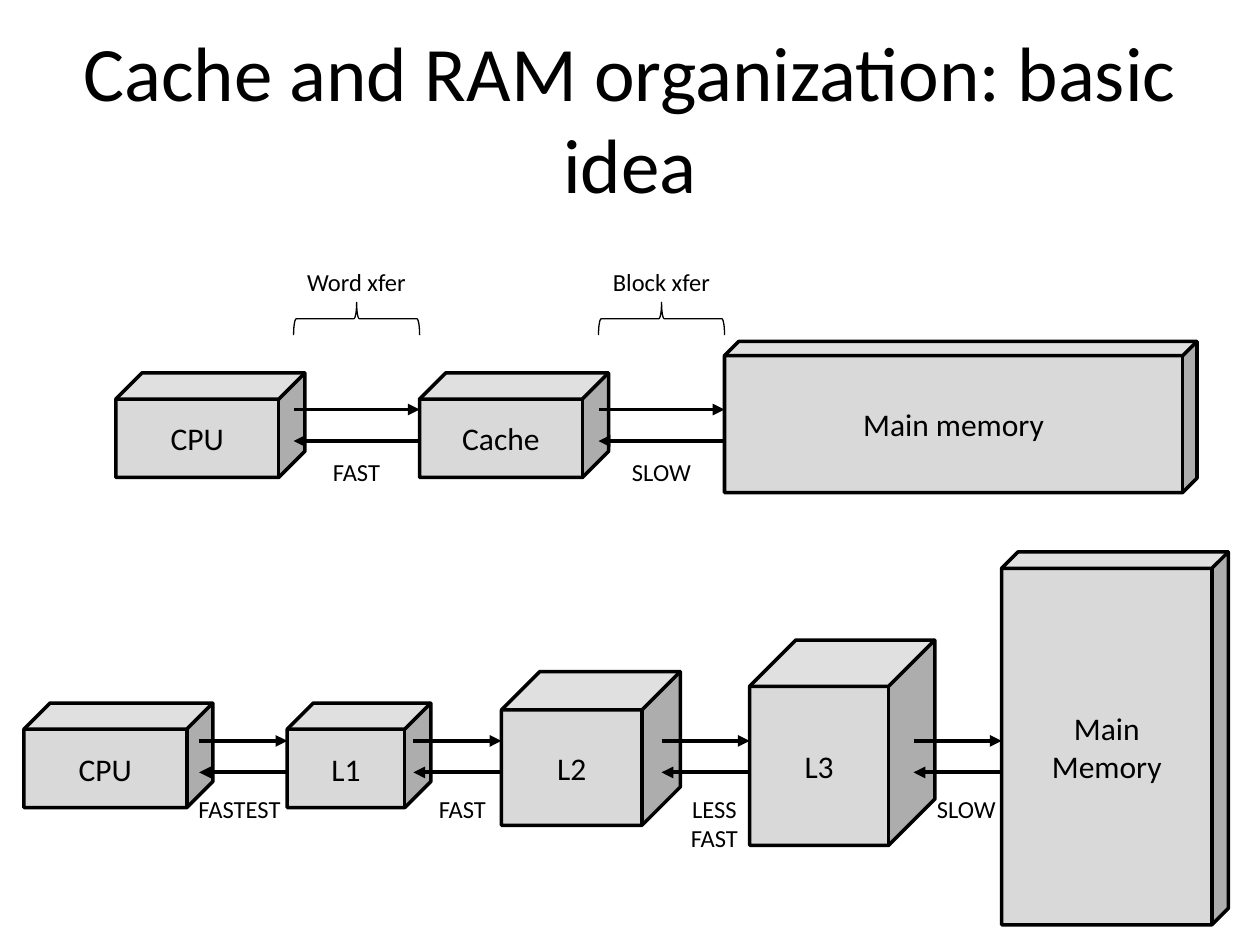
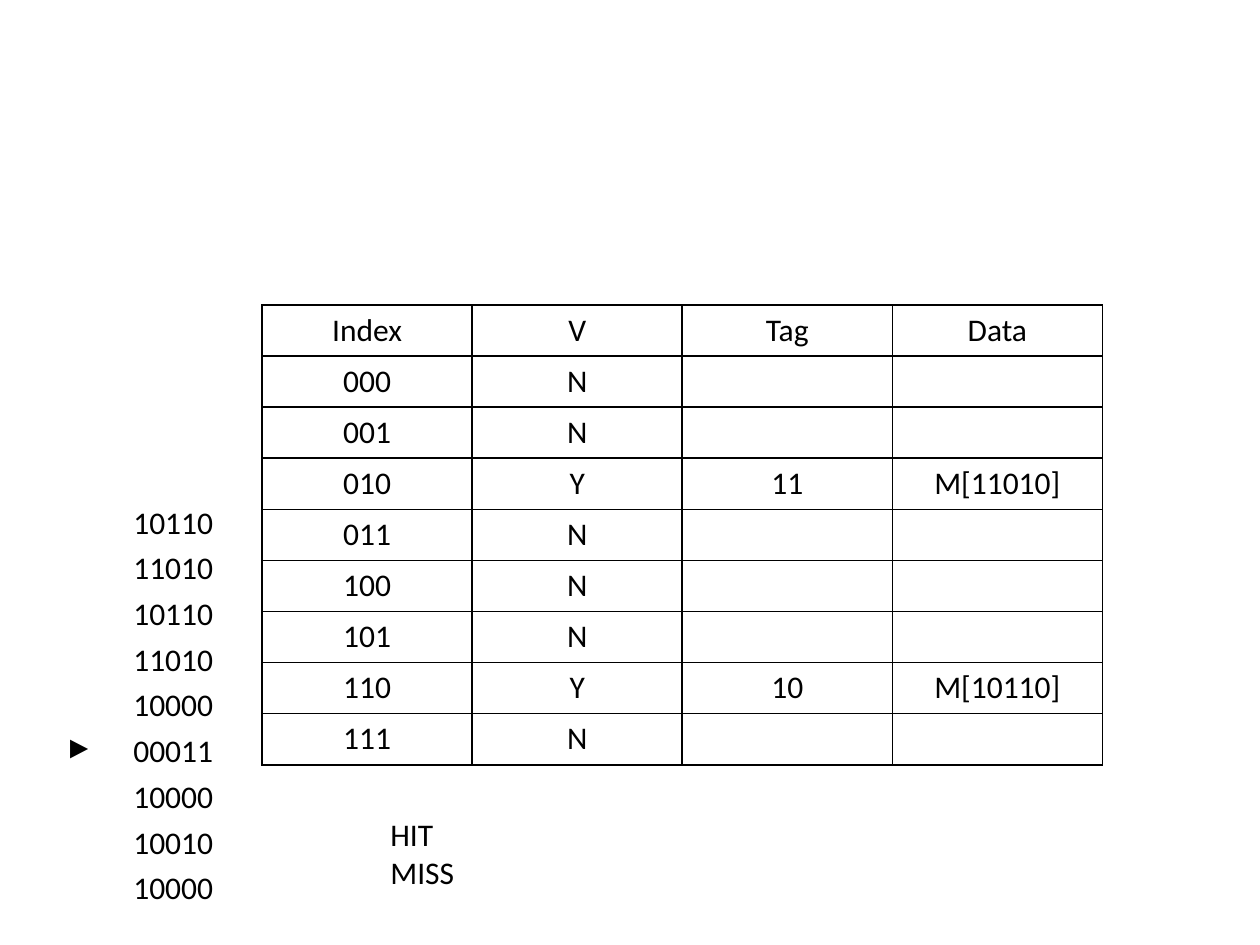
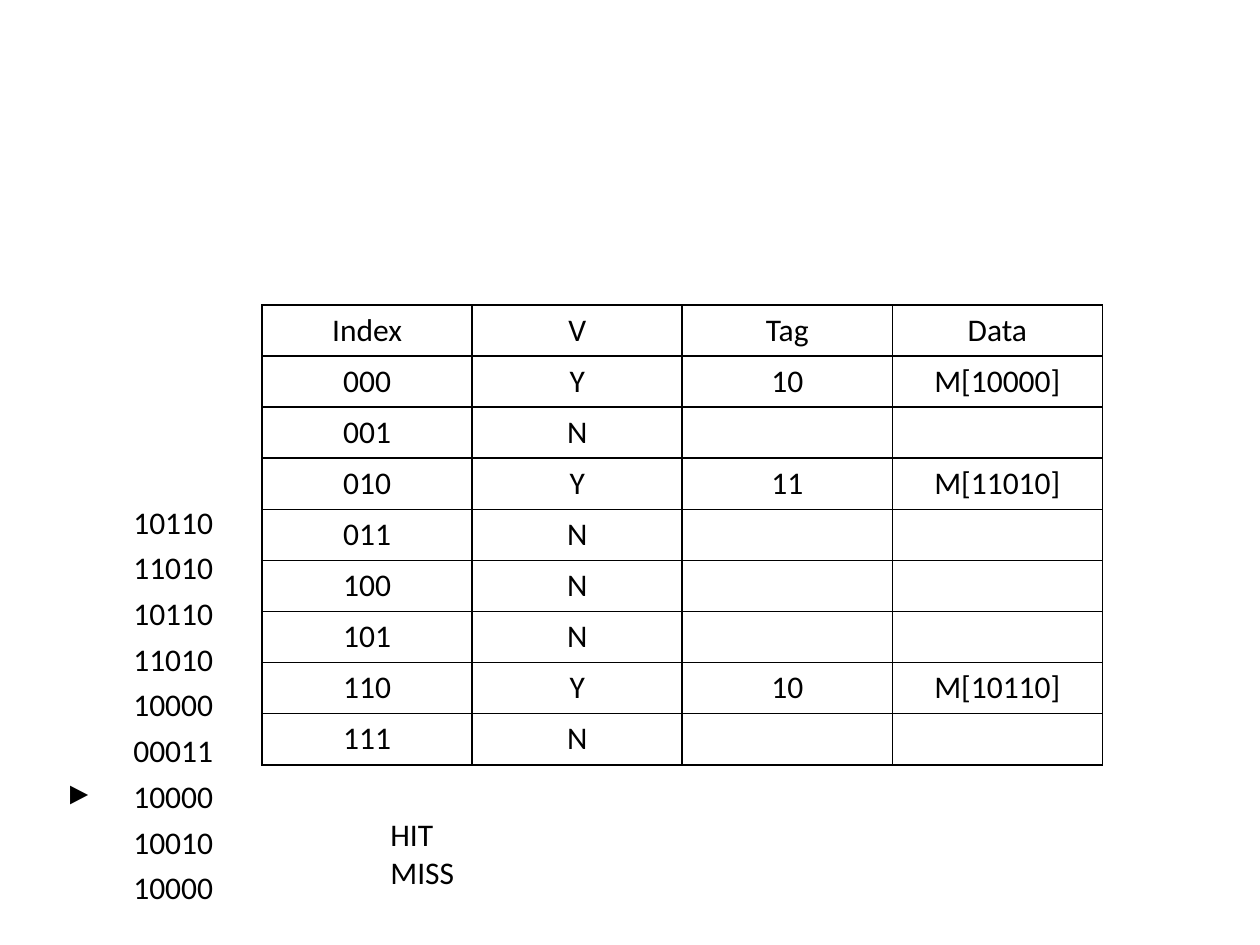
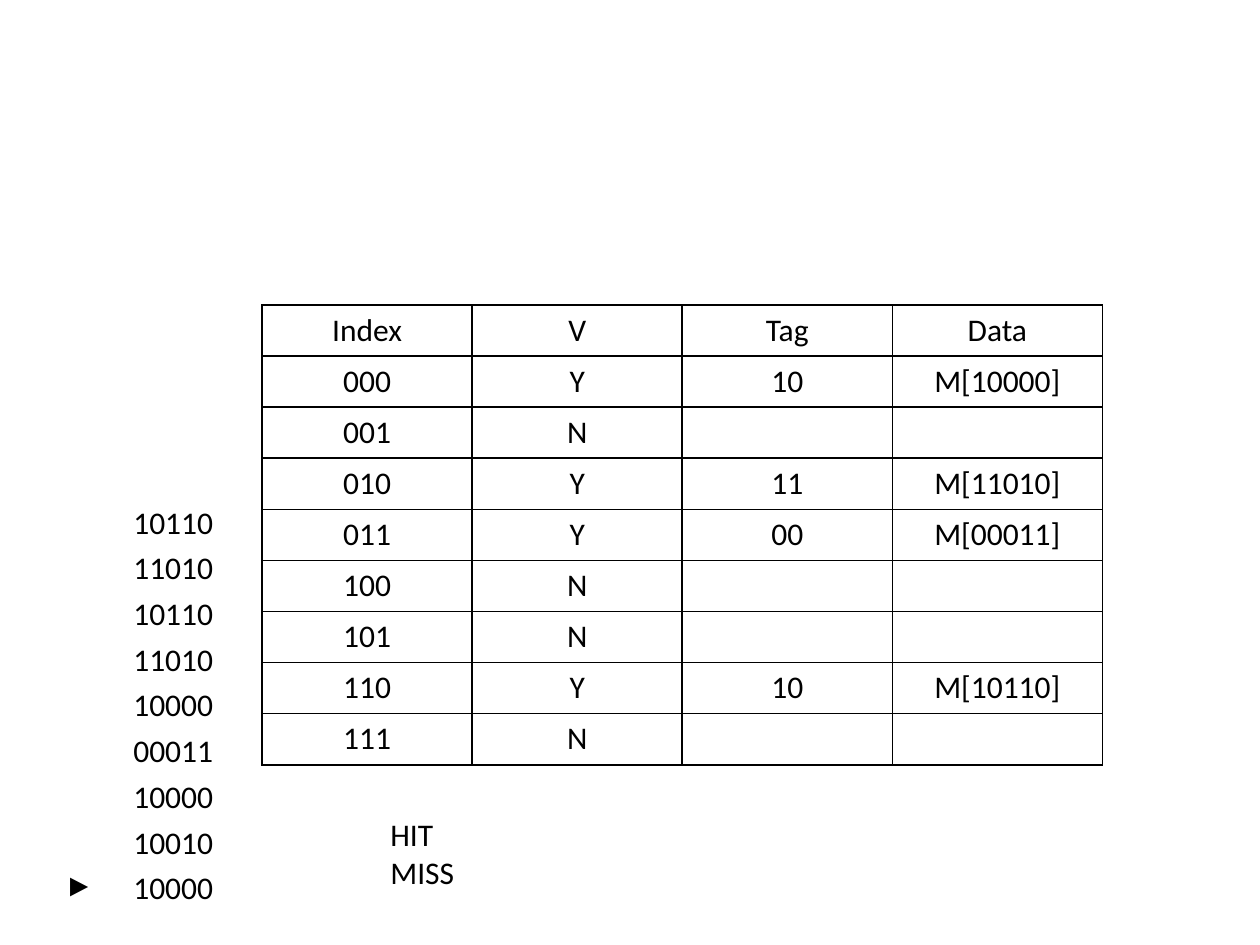
from lxml.etree import SubElement
from pptx import Presentation
from pptx.dml.color import RGBColor
from pptx.enum.shapes import MSO_CONNECTOR, MSO_SHAPE
from pptx.enum.text import MSO_ANCHOR, MSO_AUTO_SIZE, PP_ALIGN
from pptx.oxml.ns import qn
from pptx.util import Inches, Pt

COLORS = {"ink": "000000", "cube": "D9D9D9"}
BODY_FONT = "Calibri"
POINTER_FONT = "Courier New"
TITLE_ONLY, BLANK = 5, 6

ADDRESSES = ["10110", "11010", "10110", "11010", "10000",
             "00011", "10000", "10010", "10000"]

SINGLE_CACHE_LEVELS = [
    ("CPU", 0, 0.25, 1.5, 0.83, 0.25),
    ("Cache", 2.41, 0.25, 1.5, 0.83, 0.25),
    ("Main memory", 4.83, 0, 3.75, 1.2, 0.095),
]
SINGLE_CACHE_SPEEDS = [("FAST", 0.5, 1), ("SLOW", 0.5, 1)]

MULTI_CACHE_LEVELS = [
    ("CPU", 0, 1.2, 1.5, 0.83, 0.25),
    ("L1", 2.09, 1.2, 1.14, 0.83, 0.25),
    ("L2", 3.79, 0.95, 1.42, 1.22, 0.25),
    ("L3", 5.76, 0.7, 1.47, 1.63, 0.25),
    ("Main\nMemory", 7.76, 0, 1.8, 2.96, 0.073),
]
MULTI_CACHE_SPEEDS = [("FASTEST", 0.32, 0.89), ("FAST", 0.39, 1),
                      ("LESS\nFAST", 0.42, 1), ("SLOW", 0.42, 1)]


def rgb(name):
    """Return a named colour of the palette."""
    return RGBColor.from_string(COLORS[name])


def write(frame, text, size=18, align=PP_ALIGN.CENTER, font=BODY_FONT):
    """Fill a text frame, one paragraph per line, in one style."""
    frame.text = text
    for paragraph in frame.paragraphs:
        paragraph.alignment = align
        paragraph.font.size = Pt(size)
        paragraph.font.name = font
        paragraph.font.color.rgb = rgb("ink")


def add_label(slide, text, center, top, width=1):
    """Add a small caption centred on a horizontal position."""
    height = 0.34 + 0.23 * text.count("\n")
    label = slide.shapes.add_textbox(
        Inches(center - width / 2), Inches(top), Inches(width), Inches(height))
    label.text_frame.word_wrap = True
    write(label.text_frame, text, 14)


def add_level(slide, name, left, top, width, height, depth):
    """Add one level of the memory hierarchy as a cube."""
    cube = slide.shapes.add_shape(
        MSO_SHAPE.CUBE, Inches(left), Inches(top), Inches(width), Inches(height))
    cube.adjustments[0] = depth
    cube.shadow.inherit = False
    cube.fill.solid()
    cube.fill.fore_color.rgb = rgb("cube")
    cube.line.color.rgb = rgb("ink")
    cube.line.width = Pt(2)
    write(cube.text_frame, name)


def add_arrow(slide, left, right, y, arrow_end):
    """Add a horizontal line with an arrowhead at its head or tail end."""
    arrow = slide.shapes.add_connector(
        MSO_CONNECTOR.STRAIGHT, Inches(left), Inches(y), Inches(right), Inches(y))
    arrow.line.color.rgb = rgb("ink")
    arrow.line.width = Pt(2.25)
    properties = arrow.element.spPr
    SubElement(properties.find(qn("a:ln")), qn(f"a:{arrow_end}"), type="triangle")
    SubElement(properties, qn("a:effectLst"))


def add_hierarchy(slide, left, top, levels, speeds, link_length, link_top, speed_top):
    """Add a row of levels, each linked both ways with the one before it."""
    for name, x, y, width, height, depth in levels:
        add_level(slide, name, left + x, top + y, width, height, depth)
    for (_, x, *_), (speed, center, width) in zip(levels[1:], speeds):
        link_right = left + x
        link_left = link_right - link_length
        add_arrow(slide, link_left, link_right, top + link_top, "tailEnd")
        add_arrow(slide, link_left, link_right, top + link_top + 0.25, "headEnd")
        add_label(slide, speed, link_left + center, top + speed_top, width)


def add_transfer(slide, text, left, top, span=1, brace_height=0.26):
    """Add a transfer caption above an upward brace."""
    add_label(slide, text, left + span / 2, top, span)
    brace = slide.shapes.add_shape(
        MSO_SHAPE.LEFT_BRACE,
        Inches(left + (span - brace_height) / 2),
        Inches(top + 0.46 - span / 2),
        Inches(brace_height), Inches(span))
    brace.rotation = 90
    brace.shadow.inherit = False
    brace.fill.background()
    brace.line.color.rgb = rgb("ink")
    brace.line.width = Pt(0.75)


def add_grid(slide, rows, left, top, width, height):
    """Add a plain table with equal columns and rows and return it."""
    table = slide.shapes.add_table(
        len(rows), len(rows[0]), Inches(left), Inches(top),
        Inches(width), Inches(height)).table
    table.first_row = table.horz_banding = False
    for row, values in zip(table.rows, rows):
        for cell, value in zip(row.cells, values):
            cell.fill.background()
            write(cell.text_frame, value)
    return table


def add_borders(cell):
    """Draw a thin line on every side of a cell."""
    properties = cell._tc.get_or_add_tcPr()
    for position, side in enumerate(("lnL", "lnR", "lnT", "lnB")):
        line = properties.makeelement(qn(f"a:{side}"), {"w": str(Pt(1))})
        fill = SubElement(line, qn("a:solidFill"))
        SubElement(fill, qn("a:srgbClr"), val=COLORS["ink"])
        properties.insert(position, line)


def add_cache_table(slide, left, top, tags):
    """Add the cache contents, given the tag held at each valid index."""
    rows = [("Index", "V", "Tag", "Data")]
    for number in range(8):
        index = f"{number:03b}"
        if index in tags:
            rows.append((index, "Y", tags[index], f"M[{tags[index]}{index}]"))
        else:
            rows.append((index, "N", "", ""))
    table = add_grid(slide, rows, left, top, 6.67, 3.65)
    for cell in table.iter_cells():
        add_borders(cell)


def add_address_list(slide, left, top, current):
    """Add the requested addresses with a pointer at the current one."""
    rows = [("", address) for address in ADDRESSES]
    table = add_grid(slide, rows, left, top, 1.5, 3.27)
    for cell in table.iter_cells():
        cell.margin_left = cell.margin_right = 0
        cell.margin_top = cell.margin_bottom = 0
    write(table.cell(current, 0).text_frame, "►", font=POINTER_FONT)


def add_outcomes(slide, left, top):
    """Add the two possible outcomes of a lookup."""
    outcomes = slide.shapes.add_textbox(
        Inches(left), Inches(top), Inches(0.71), Inches(0.71))
    outcomes.text_frame.word_wrap = False
    write(outcomes.text_frame, "HIT\nMISS", align=PP_ALIGN.LEFT)


def add_title(slide, text):
    """Place and format the slide title."""
    title = slide.shapes.title
    title.left, title.top = Inches(0.5), Inches(0.3)
    title.width, title.height = Inches(9), Inches(1.25)
    title.text_frame.auto_size = MSO_AUTO_SIZE.NONE
    title.text_frame.vertical_anchor = MSO_ANCHOR.MIDDLE
    write(title.text_frame, text, 44)


def build_organization_slide(deck):
    """Build the slide comparing one cache with several cache levels."""
    slide = deck.slides.add_slide(deck.slide_layouts[TITLE_ONLY])
    add_title(slide, "Cache and RAM organization: basic idea")
    add_hierarchy(slide, 0.92, 2.71, SINGLE_CACHE_LEVELS, SINGLE_CACHE_SPEEDS,
                  link_length=1, link_top=0.54, speed_top=0.87)
    add_transfer(slide, "Word xfer", 2.33, 2.07)
    add_transfer(slide, "Block xfer", 4.75, 2.07)
    add_hierarchy(slide, 0.19, 4.38, MULTI_CACHE_LEVELS, MULTI_CACHE_SPEEDS,
                  link_length=0.7, link_top=1.5, speed_top=1.87)


def build_lookup_slide(deck, tags, current):
    """Build one step of the cache lookup example."""
    slide = deck.slides.add_slide(deck.slide_layouts[BLANK])
    add_cache_table(slide, 2.08, 2.42, tags)
    add_address_list(slide, 0.25, 4, current)
    add_outcomes(slide, 3, 6.42)


def main():
    """Build and save the deck."""
    deck = Presentation()
    deck.slide_width, deck.slide_height = Inches(10), Inches(7.5)
    build_organization_slide(deck)
    tags = {"010": "11", "110": "10"}
    build_lookup_slide(deck, tags, 5)
    tags["000"] = "10"
    build_lookup_slide(deck, tags, 6)
    tags["011"] = "00"
    build_lookup_slide(deck, tags, 8)
    deck.save("out.pptx")


if __name__ == "__main__":
    main()
